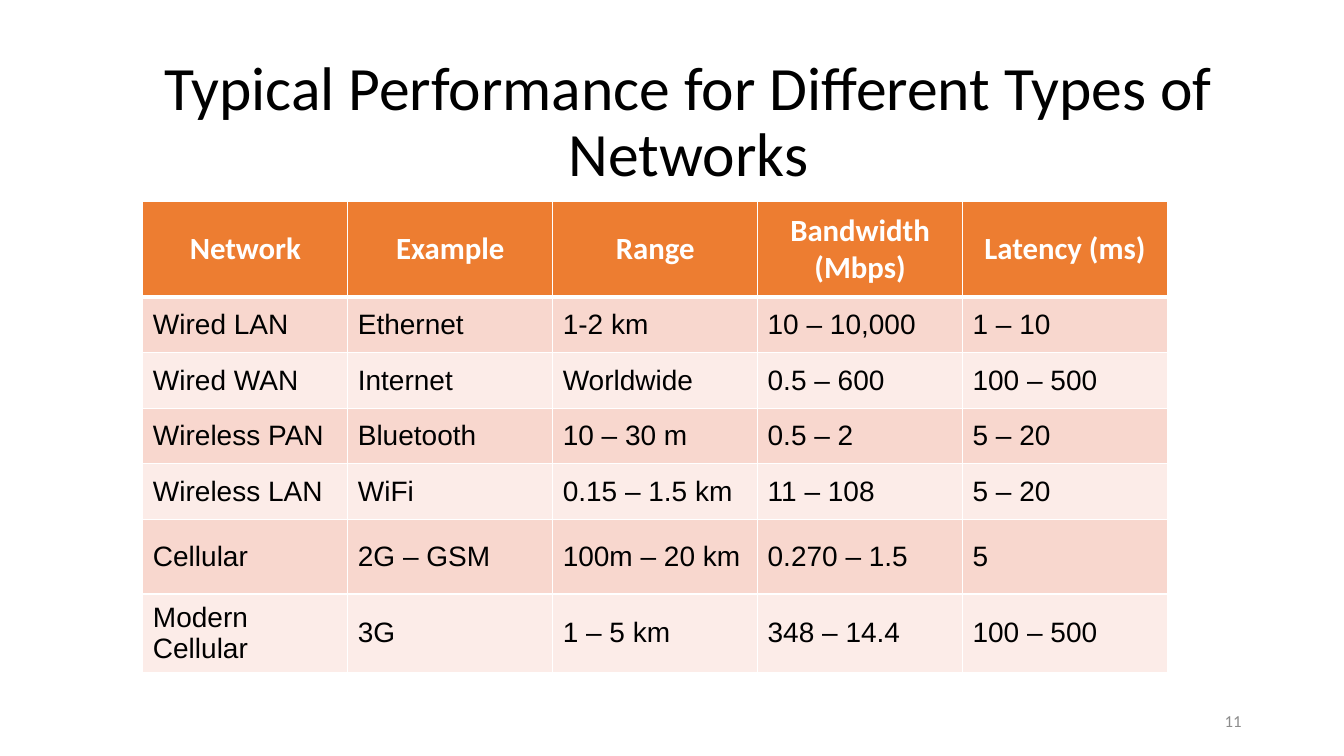
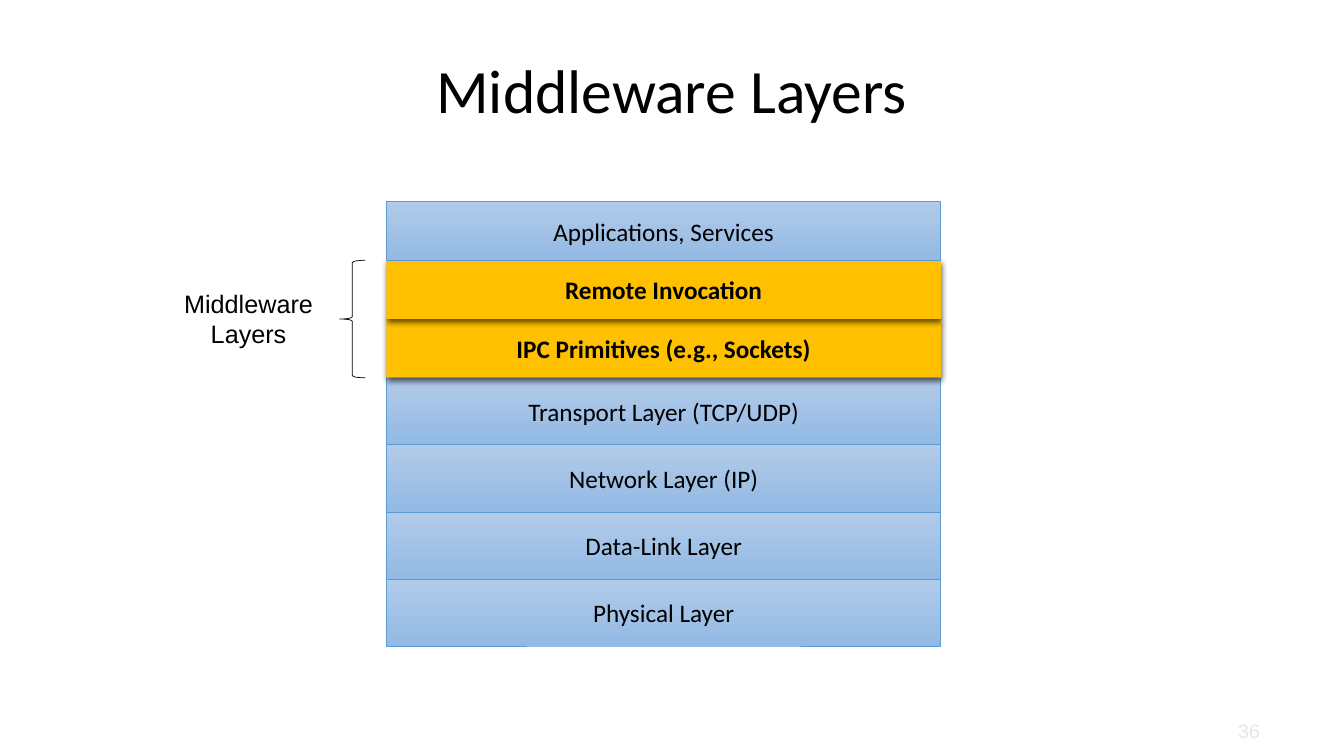
import lxml.etree
import pptx
import pptx.dml.color
import pptx.enum.shapes
import pptx.enum.text
import pptx.oxml
import pptx.oxml.ns
import pptx.util

Cm = pptx.util.Cm
Pt = pptx.util.Pt
RGBColor = pptx.dml.color.RGBColor
SHAPE = pptx.enum.shapes.MSO_SHAPE
ALIGN = pptx.enum.text.PP_ALIGN
MIDDLE = pptx.enum.text.MSO_ANCHOR.MIDDLE
TOP = pptx.enum.text.MSO_ANCHOR.TOP
NO_FIT = pptx.enum.text.MSO_AUTO_SIZE.NONE
qn = pptx.oxml.ns.qn

BLACK = RGBColor(0x00, 0x00, 0x00)
WHITE = RGBColor(0xFF, 0xFF, 0xFF)
GREY = RGBColor(0x8C, 0x8C, 0x8C)
PALE_GREY = RGBColor(0xE7, 0xE6, 0xE6)
ORANGE = RGBColor(0xED, 0x7D, 0x31)
PEACH = RGBColor(0xF8, 0xD7, 0xCE)
PALE_PEACH = RGBColor(0xFC, 0xEC, 0xE8)
GOLD = RGBColor(0xFF, 0xC0, 0x00)
BLUE = RGBColor(0x5B, 0x9B, 0xD5)
BLUE_TOP = RGBColor(0xB1, 0xCB, 0xE9)
BLUE_BOTTOM = RGBColor(0x93, 0xB9, 0xE4)

TITLE_FONT = {"name": "Calibri", "size": Pt(44), "bold": False}
HEADER_FONT = {"name": "Calibri", "size": Pt(22), "bold": True}
CELL_FONT = {"name": "Arial", "size": Pt(20), "bold": False}
LAYER_FONT = {"name": "Calibri", "size": Pt(18), "bold": False}
KEY_LAYER_FONT = {**LAYER_FONT, "bold": True}
LABEL_FONT = {"name": "Arial", "size": Pt(18)}
NUMBER_FONT = {"name": "Calibri", "size": Pt(12)}
LARGE_NUMBER_FONT = {"name": "Arial", "size": Pt(14)}

NETWORKS = [
    ["Network", "Example", "Range", "Bandwidth (Mbps)", "Latency (ms)"],
    ["Wired LAN", "Ethernet", "1-2 km", "10 – 10,000", "1 – 10"],
    ["Wired WAN", "Internet", "Worldwide", "0.5 – 600", "100 – 500"],
    ["Wireless PAN", "Bluetooth", "10 – 30 m", "0.5 – 2", "5 – 20"],
    ["Wireless LAN", "WiFi", "0.15 – 1.5 km", "11 – 108", "5 – 20"],
    ["Cellular", "2G – GSM", "100m – 20 km", "0.270 – 1.5", "5"],
    ["Modern Cellular", "3G", "1 – 5 km", "348 – 14.4", "100 – 500"],
]
ROW_HEIGHTS = [2.41, 1.4, 1.4, 1.4, 1.4, 1.88, 1.98]

UPPER, LOWER = 1.48, 1.69
LAYERS = [
    ("Applications, Services", UPPER, False),
    ("Remote Invocation", UPPER, True),
    ("IPC Primitives (e.g., Sockets)", UPPER, True),
    ("Transport Layer (TCP/UDP)", LOWER, False),
    ("Network Layer (IP)", LOWER, False),
    ("Data-Link Layer", LOWER, False),
    ("Physical Layer", LOWER, False),
]


def set_values(target, values):
    for name, value in values.items():
        setattr(target, name, value)


class Deck:
    def __init__(self):
        self.deck = pptx.Presentation()
        set_values(self.deck, {"slide_width": Cm(33.87), "slide_height": Cm(19.05)})
        self.page = None

    def fill_text(self, frame, text, font, color, align, anchor=MIDDLE):
        set_values(frame, {"word_wrap": True, "vertical_anchor": anchor})
        para = frame.paragraphs[0]
        para.alignment = align
        span = para.add_run()
        span.text = text
        set_values(span.font, font)
        span.font.color.rgb = color
        return para

    def add_page(self, title, left, top, width, height):
        self.page = self.deck.slides.add_slide(self.deck.slide_layouts[5])
        box = self.page.shapes.title
        place = {"left": left, "top": top, "width": width, "height": height}
        set_values(box, {name: Cm(value) for name, value in place.items()})
        para = self.fill_text(box.text_frame, title, TITLE_FONT, BLACK, ALIGN.CENTER)
        para.line_spacing = 0.9
        box.text_frame.auto_size = NO_FIT

    def add_text(self, text, place, font, color, align, anchor=MIDDLE):
        box = self.page.shapes.add_textbox(*map(Cm, place))
        self.fill_text(box.text_frame, text, font, color, align, anchor)

    def add_shape(self, kind, place):
        shape = self.page.shapes.add_shape(kind, *map(Cm, place))
        shape.shadow.inherit = False
        return shape

    def add_layer(self, text, place, key):
        box = self.add_shape(SHAPE.RECTANGLE, place)
        if key:
            box.fill.solid()
            box.fill.fore_color.rgb = GOLD
            box.line.fill.background()
            self.add_shadow(box)
        else:
            box.fill.gradient()
            box.fill.gradient_angle = 270
            for stop, color, position in zip(
                box.fill.gradient_stops, (BLUE_TOP, BLUE_BOTTOM), (0, 1)
            ):
                stop.color.rgb = color
                stop.position = position
            box.line.color.rgb = BLUE
            box.line.width = Pt(0.5)
        font = KEY_LAYER_FONT if key else LAYER_FONT
        self.fill_text(box.text_frame, text, font, BLACK, ALIGN.CENTER)

    def add_shadow(self, box):
        effects = box._element.spPr.find(qn("a:effectLst"))
        shadow = lxml.etree.SubElement(
            effects, qn("a:outerShdw"), blurRad=str(Pt(4.5)), dist=str(Pt(1.5)),
            dir="5400000", algn="ctr", rotWithShape="0",
        )
        color = lxml.etree.SubElement(shadow, qn("a:srgbClr"), val=str(BLACK))
        lxml.etree.SubElement(color, qn("a:alpha"), val="63000")

    def add_brace(self, place):
        brace = self.add_shape(SHAPE.LEFT_BRACE, place)
        brace.fill.background()
        brace.line.color.rgb = BLACK
        brace.line.width = Pt(0.5)

    def add_borders(self, cell, widths):
        properties = cell._tc.get_or_add_tcPr()
        for index, (side, width) in enumerate(widths.items()):
            line = properties.makeelement(qn(f"a:ln{side}"), {"w": str(Pt(width))})
            fill = lxml.etree.SubElement(line, qn("a:solidFill"))
            lxml.etree.SubElement(fill, qn("a:srgbClr"), val=str(WHITE))
            properties.insert(index, line)

    def add_table(self, rows, heights, left, top, width):
        columns = len(rows[0])
        place = map(Cm, (left, top, width, sum(heights)))
        table = self.page.shapes.add_table(len(rows), columns, *place).table
        for column in table.columns:
            column.width = Cm(width / columns)
        for row, (texts, height) in enumerate(zip(rows, heights)):
            table.rows[row].height = Cm(height)
            header = row == 0
            fill = ORANGE if header else (PALE_PEACH, PEACH)[row % 2]
            font = HEADER_FONT if header else CELL_FONT
            color = WHITE if header else BLACK
            align = ALIGN.CENTER if header else ALIGN.LEFT
            borders = {"L": 1, "R": 1, "T": 3 if row == 1 else 1, "B": 3 if header else 1}
            for column, text in enumerate(texts):
                cell = table.cell(row, column)
                cell.fill.solid()
                cell.fill.fore_color.rgb = fill
                cell.vertical_anchor = MIDDLE
                self.fill_text(cell.text_frame, text, font, color, align)
                self.add_borders(cell, borders)


def build_networks(deck):
    deck.add_page("Typical Performance for Different Types of Networks", 2.75, 1.27, 29.21, 3.68)
    deck.add_table(NETWORKS, ROW_HEIGHTS, 3.6, 5.08, 25.82)
    deck.add_text("11", (23.92, 17.66, 7.62, 1.01), NUMBER_FONT, GREY, ALIGN.RIGHT)


def build_layers(deck):
    deck.add_page("Middleware Layers", 5.5, 0.89, 22.86, 2.92)
    left, top, width = 9.74, 5.08, 13.97
    bottom = top + sum(height for _, height, _ in LAYERS)
    for text, height, key in reversed(LAYERS):
        bottom -= height
        deck.add_layer(text, (left, bottom, width, height), key)
    deck.add_text("Middleware Layers", (4.04, 7.14, 4.45, 1.8), LABEL_FONT, BLACK, ALIGN.CENTER, TOP)
    deck.add_brace((8.56, top + UPPER, 0.64, 2 * UPPER))
    deck.add_text("36", (24.38, 17.91, 7.62, 1.01), LARGE_NUMBER_FONT, PALE_GREY, ALIGN.RIGHT)


def main():
    deck = Deck()
    build_networks(deck)
    build_layers(deck)
    deck.deck.save("out.pptx")


if __name__ == "__main__":
    main()
